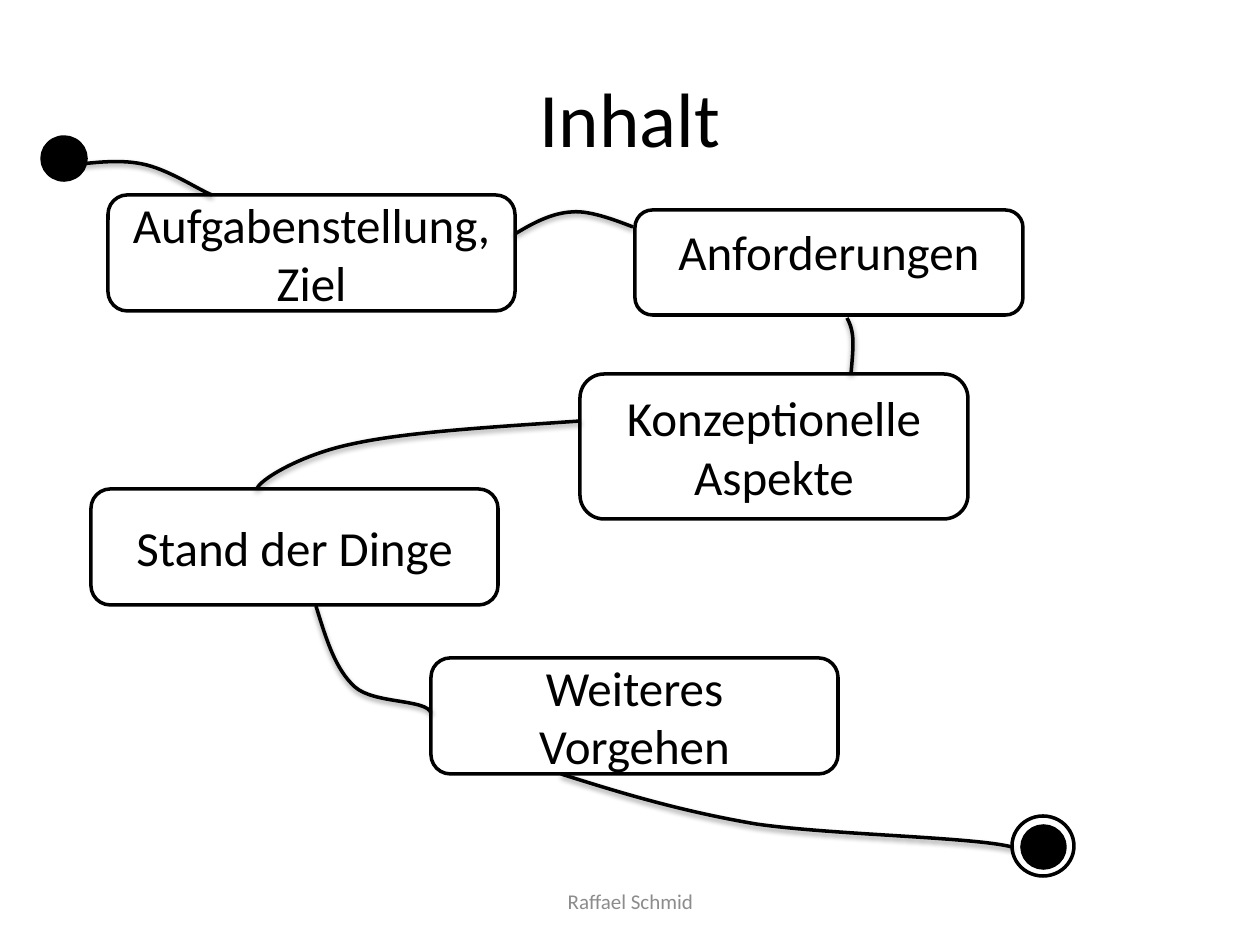
"""Build the "Inhalt" agenda slide as a flow from a start dot to an end ring."""
from typing import Any, NamedTuple, Optional

from lxml.etree import SubElement
from pptx import Presentation
from pptx.dml.color import RGBColor
from pptx.enum.shapes import MSO_SHAPE as Shape
from pptx.enum.text import MSO_ANCHOR as Anchor, PP_ALIGN as Align
from pptx.oxml.ns import qn
from pptx.util import Pt

EMU_PER_PX = 914400 / 126
BLACK = RGBColor(0x00, 0x00, 0x00)
WHITE = RGBColor(0xFF, 0xFF, 0xFF)
GREY = RGBColor(0x8C, 0x8C, 0x8C)
Point = tuple[int, int]


class Area(NamedTuple):
    left: int
    top: int
    width: int
    height: int


class Topic(NamedTuple):
    text: str
    area: Area
    anchor: Anchor = Anchor.MIDDLE


class Curve(NamedTuple):
    start: Point
    controls: list[Point]


TITLE_AREA = Area(63, 38, 1134, 158)
FOOTER_AREA = Area(431, 876, 399, 50)
START_AREA = Area(42, 137, 44, 43)
RING_AREA = Area(1012, 816, 62, 60)
END_AREA = Area(1022, 826, 43, 42)

TOPICS = [
    Topic("Aufgabenstellung, Ziel", Area(108, 195, 407, 116)),
    Topic("Anforderungen", Area(635, 210, 388, 105), Anchor.TOP),
    Topic("Konzeptionelle Aspekte", Area(580, 374, 388, 145), Anchor.TOP),
    Topic("Stand der Dinge", Area(91, 489, 407, 116)),
    Topic("Weiteres Vorgehen", Area(431, 658, 407, 116)),
]

CURVES = [
    Curve((63, 166), [(91, 163), (118, 159), (142, 164), (168, 169), (199, 190), (212, 195)]),
    Curve((515, 234), [(533, 223), (552, 213), (572, 212), (591, 210), (622, 223), (633, 227)]),
    Curve((847, 318), [(851, 325), (853, 333), (853, 343), (853, 352), (852, 363), (851, 374)]),
    Curve((580, 421), [(493, 427), (406, 432), (352, 444), (299, 455), (258, 481), (257, 489)]),
    Curve((316, 606), [(326, 638), (335, 669), (355, 687), (374, 704), (427, 699), (431, 713)]),
    Curve((561, 774), [(621, 793), (680, 811), (756, 824), (832, 835), (974, 837), (1012, 847)]),
]


def emu(px: int) -> int:
    """Turn pixels into EMU."""
    return round(px * EMU_PER_PX)


def assign(target: Any, values: dict[str, Any]) -> None:
    """Set each named attribute on the target."""
    for name, value in values.items():
        setattr(target, name, value)


def place(box: Any, area: Area) -> None:
    """Move and size a box to an area."""
    assign(box, {name: emu(px) for name, px in area._asdict().items()})


def write(box: Any, text: str, size: int, color: RGBColor = BLACK,
          anchor: Anchor = Anchor.MIDDLE) -> None:
    """Put one centred, wrapped paragraph in a box."""
    frame = box.text_frame
    assign(frame, {"word_wrap": True, "vertical_anchor": anchor})
    para = frame.paragraphs[0]
    para.alignment = Align.CENTER
    span = para.add_run()
    span.text = text
    assign(span.font, {"size": Pt(size), "name": "Calibri"})
    span.font.color.rgb = color


def outline(shape: Any, fill: Optional[RGBColor]) -> None:
    """Give a shape a black line, a fill or none, and no shadow."""
    shape.shadow.inherit = False
    shape.line.color.rgb = BLACK
    shape.line.width = Pt(2)
    if fill is None:
        shape.fill.background()
    else:
        shape.fill.solid()
        shape.fill.fore_color.rgb = fill


def add_outlined(shapes: Any, kind: Shape, area: Area, fill: Optional[RGBColor]) -> Any:
    """Add an outlined preset shape."""
    shape = shapes.add_shape(kind, *map(emu, area))
    outline(shape, fill)
    return shape


def add_topic(shapes: Any, topic: Topic) -> None:
    """Add a rounded box that names a topic."""
    box = add_outlined(shapes, Shape.ROUNDED_RECTANGLE, topic.area, WHITE)
    write(box, topic.text, 28, anchor=topic.anchor)


def add_shadow(shape: Any) -> None:
    """Add a soft shadow straight below a shape."""
    effects = shape._element.spPr.find(qn("a:effectLst"))
    shadow = SubElement(effects, qn("a:outerShdw"), blurRad=str(Pt(3.1)),
                        dist=str(Pt(1.6)), dir="5400000", rotWithShape="0")
    color = SubElement(shadow, qn("a:srgbClr"), val=str(BLACK))
    SubElement(color, qn("a:alpha"), val="38000")


def add_curve(shapes: Any, curve: Curve) -> None:
    """Add an open Bézier curve, three control points to a segment."""
    builder = shapes.build_freeform(*curve.start, scale=EMU_PER_PX)
    builder.add_line_segments(curve.controls, close=False)
    shape = builder.convert_to_shape()
    outline(shape, None)
    add_shadow(shape)
    lines = list(shape._element.iter(qn("a:lnTo")))
    for first in range(0, len(lines), 3):
        bezier = SubElement(lines[first].getparent(), qn("a:cubicBezTo"))
        for line in lines[first:first + 3]:
            bezier.append(line[0])
            line.getparent().remove(line)


def main() -> None:
    """Build and save the deck."""
    deck = Presentation()
    assign(deck, {"slide_width": emu(1260), "slide_height": emu(945)})
    page = deck.slides.add_slide(deck.slide_layouts[5])
    shapes = page.shapes

    place(shapes.title, TITLE_AREA)
    write(shapes.title, "Inhalt", 44)
    footer = shapes.add_textbox(*map(emu, FOOTER_AREA))
    write(footer, "Raffael Schmid", 12, GREY)

    add_outlined(shapes, Shape.OVAL, START_AREA, BLACK)
    for topic in TOPICS:
        add_topic(shapes, topic)
    end = shapes.add_group_shape()
    add_outlined(end.shapes, Shape.OVAL, RING_AREA, None)
    add_outlined(end.shapes, Shape.OVAL, END_AREA, BLACK)
    for curve in CURVES:
        add_curve(shapes, curve)

    deck.save("out.pptx")


if __name__ == "__main__":
    main()
